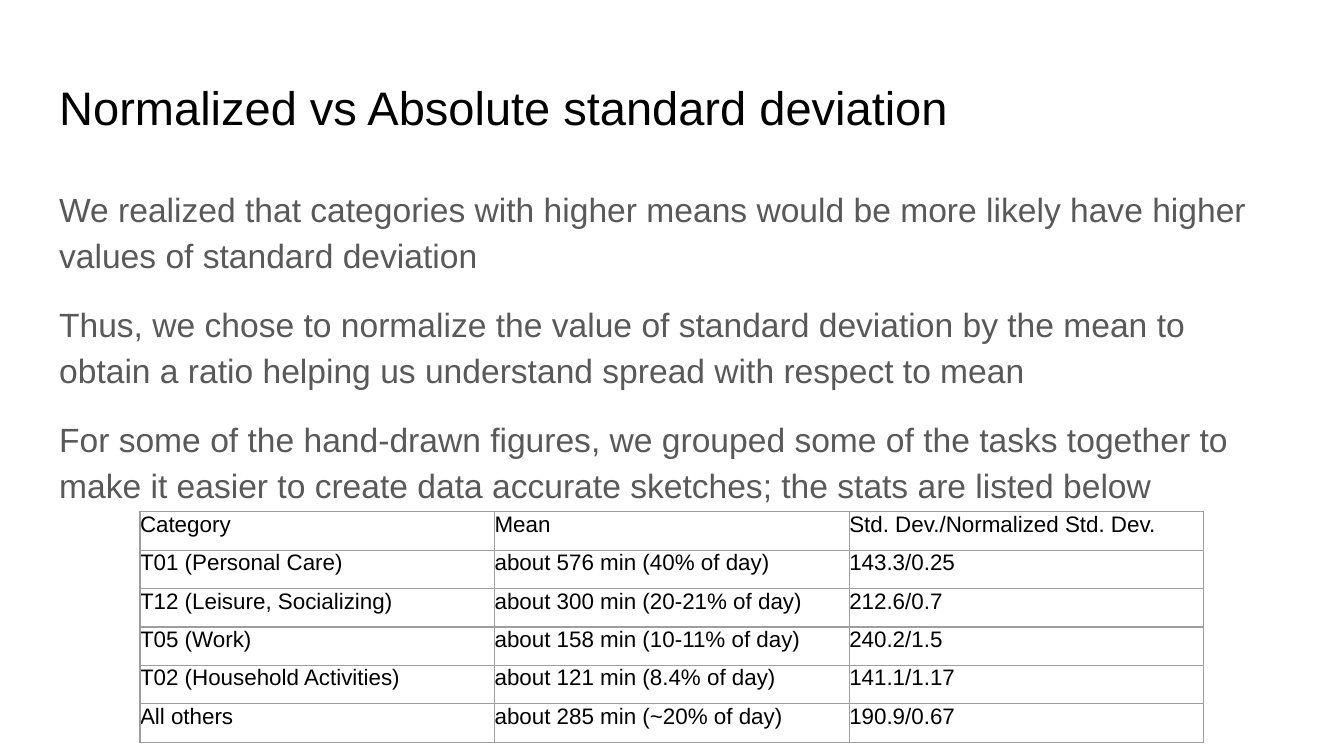
from dataclasses import dataclass

import lxml.etree
import pptx
import pptx.dml.color
import pptx.enum.text
import pptx.oxml
import pptx.oxml.ns
import pptx.util

Pt = pptx.util.Pt
qn = pptx.oxml.ns.qn


@dataclass(frozen=True)
class Theme:
    font: str = "Arial"
    ink: str = "000000"
    muted: str = "595959"
    paper: str = "FFFFFF"
    rule: str = "9E9E9E"
    rule_width: float = 0.75
    title_size: float = 25.2
    body_size: float = 18
    table_size: float = 12
    inset: float = 7.2


class SlideBuilder:
    def __init__(self, page, theme):
        self.page = page
        self.theme = theme
        page.background.fill.solid()
        page.background.fill.fore_color.rgb = self.color(theme.paper)

    def color(self, code):
        return pptx.dml.color.RGBColor.from_string(code)

    def add_span(self, para, text, size, color):
        span = para.add_run()
        span.text = text
        span.font.name = self.theme.font
        span.font.size = Pt(size)
        span.font.bold = False
        span.font.color.rgb = self.color(color)

    def place(self, box, left, top, width, height):
        box.left, box.top = Pt(left), Pt(top)
        box.width, box.height = Pt(width), Pt(height)
        frame = box.text_frame
        frame.word_wrap = True
        frame.auto_size = pptx.enum.text.MSO_AUTO_SIZE.NONE
        frame.vertical_anchor = pptx.enum.text.MSO_ANCHOR.TOP
        inset = Pt(self.theme.inset)
        frame.margin_left = frame.margin_right = inset
        frame.margin_top = frame.margin_bottom = inset
        return frame

    def title(self, text, *bounds):
        para = self.place(self.page.shapes.title, *bounds).paragraphs[0]
        para.alignment = pptx.enum.text.PP_ALIGN.LEFT
        self.add_span(para, text, self.theme.title_size, self.theme.ink)

    def body(self, texts, *bounds):
        frame = self.place(self.page.placeholders[1], *bounds)
        for index, text in enumerate(texts):
            para = frame.add_paragraph() if index else frame.paragraphs[0]
            para.line_spacing = 1.15
            para.space_before = Pt(12 if index else 0)
            para.space_after = Pt(12 if index == len(texts) - 1 else 0)
            properties = para._p.get_or_add_pPr()
            properties.set("marL", "0")
            properties.set("indent", "0")
            lxml.etree.SubElement(properties, qn("a:buNone"))
            self.add_span(para, text, self.theme.body_size, self.theme.muted)

    def border(self, cell):
        properties = cell._tc.get_or_add_tcPr()
        for index, side in enumerate(("lnL", "lnR", "lnT", "lnB")):
            line = properties.makeelement(
                qn(f"a:{side}"), {"w": str(Pt(self.theme.rule_width))}
            )
            fill = lxml.etree.SubElement(line, qn("a:solidFill"))
            lxml.etree.SubElement(fill, qn("a:srgbClr"), val=self.theme.rule)
            properties.insert(index, line)

    def table(self, rows, left, top, column_width, row_height):
        columns = len(rows[0])
        grid = self.page.shapes.add_table(
            len(rows), columns, Pt(left), Pt(top),
            Pt(column_width * columns), Pt(row_height * len(rows)),
        ).table
        grid.first_row = False
        grid.horz_banding = False
        for row, texts in enumerate(rows):
            for column, text in enumerate(texts):
                cell = grid.cell(row, column)
                cell.margin_left = cell.margin_right = 0
                cell.margin_top = cell.margin_bottom = 0
                cell.fill.background()
                self.border(cell)
                self.add_span(
                    cell.text_frame.paragraphs[0], text,
                    self.theme.table_size, self.theme.ink,
                )


def main():
    deck = pptx.Presentation()
    deck.slide_width, deck.slide_height = Pt(720), Pt(405)
    page = deck.slides.add_slide(deck.slide_layouts[1])
    builder = SlideBuilder(page, Theme())
    builder.title("Normalized vs Absolute standard deviation", 24.5, 35, 671, 45.4)
    builder.body(
        [
            "We realized that categories with higher means would be more likely "
            "have higher values of standard deviation",
            "Thus, we chose to normalize the value of standard deviation by the "
            "mean to obtain a ratio helping us understand spread with respect to mean",
            "For some of the hand-drawn figures, we grouped some of the tasks "
            "together to make it easier to create data accurate sketches; the "
            "stats are listed below",
        ],
        24.5, 90.7, 671, 269,
    )
    builder.table(
        [
            ("Category", "Mean", "Std. Dev./Normalized Std. Dev."),
            ("T01 (Personal Care)", "about 576 min (40% of day)", "143.3/0.25"),
            ("T12 (Leisure, Socializing)", "about 300 min (20-21% of day)", "212.6/0.7"),
            ("T05 (Work)", "about 158 min (10-11% of day)", "240.2/1.5"),
            ("T02 (Household Activities)", "about 121 min (8.4% of day)", "141.1/1.17"),
            ("All others", "about 285 min (~20% of day)", "190.9/0.67"),
        ],
        75, 274.2, 190, 20.6,
    )
    deck.save("out.pptx")


if __name__ == "__main__":
    main()
